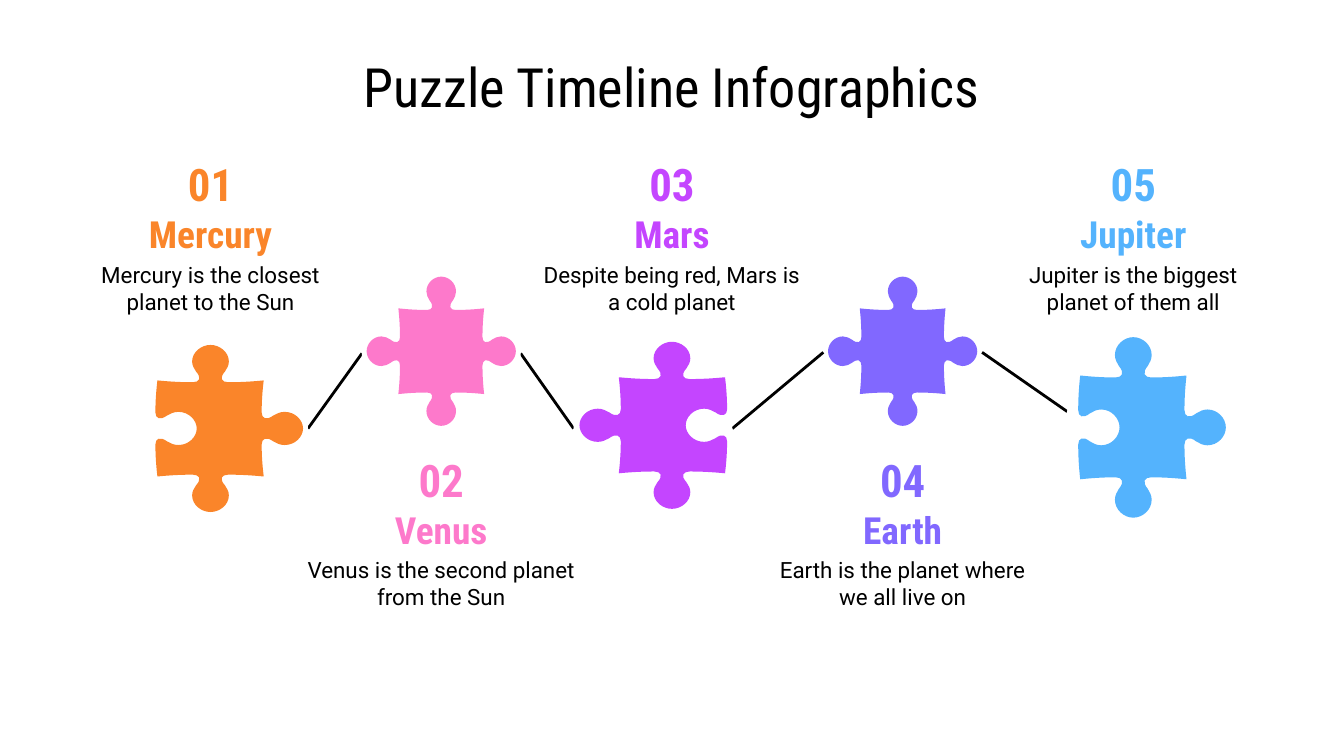
from lxml import etree
from pptx import Presentation
from pptx.dml.color import RGBColor as RGB
from pptx.enum.shapes import MSO_CONNECTOR as Link, MSO_SHAPE as Shape
from pptx.enum.text import MSO_ANCHOR as Anchor, PP_ALIGN as Align
from pptx.oxml.ns import qn
from pptx.util import Cm, Pt

COLORS = {
    "ink": "000000", "paper": "FFFFFF", "orange": "FA852A", "pink": "FD79CB",
    "purple": "C445FF", "violet": "8168FF", "blue": "54B3FD",
}
HEAD, BODY = "Roboto Condensed", "Roboto"

# Text columns, cm
FIRST, PITCH = 3.98, 4.36
HIGH, LOW = 3.0, 8.59

# Half of a puzzle side as Bezier points, from corner to knob tip: along, outward
HALF = [
    (-.81, 0), (-.79, 0), (-.57, -.03), (-.27, -.03),
    (-.17, -.03), (-.13, .04), (-.22, .15),
    (-.25, .2), (-.28, .25), (-.28, .32),
    (-.28, .48), (-.14, .6), (0, .6),
]
SIDE = HALF + [(-u, v) for u, v in HALF[-2::-1]]
EDGE = .81

# Knob direction of the top, right, bottom and left side: 1 out, -1 in
FULL, LEFT_IN, RIGHT_IN = (1, 1, 1, 1), (1, 1, 1, -1), (1, -1, 1, 1)

# name, text, color, text top, piece (y, x scale, y scale, knobs),
# halo (x offset from column, y, height)
PLANETS = [
    ("Mercury", "Mercury is the closest planet to the Sun", "orange", HIGH,
     (8.1, 1.24, 1.12, LEFT_IN), (.34, 8.1, 3.35)),
    ("Venus", "Venus is the second planet from the Sun", "pink", LOW,
     (6.64, 1, 1, FULL), (0, 6.68, 2.92)),
    ("Mars", "Despite being red, Mars is a cold planet", "purple", HIGH,
     (8.04, 1.24, 1.12, RIGHT_IN), (-.36, 8.1, 3.35)),
    ("Earth", "Earth is the planet where we all live on", "violet", LOW,
     (6.64, 1, 1, FULL), (0, 6.66, 0)),
    ("Jupiter", "Jupiter is the biggest planet of them all", "blue", HIGH,
     (8.08, 1.24, 1.21, LEFT_IN), (.25, 7.78, 3)),
]
HALO = 3.0


def outline(knobs):
    """Return the Bezier points of a piece around the origin, clockwise from top left."""
    path = [(-EDGE, -EDGE)]
    for turn, knob in enumerate(knobs):
        side = [(u, -EDGE - knob * v) for u, v in SIDE]
        for _ in range(turn):
            side = [(-y, x) for x, y in side]
        path += side[1:]
    return path


def curve(shape):
    """Turn each three line segments of a freeform into one Bezier curve."""
    path = next(shape._element.iter(qn("a:path")))
    lines = path.findall(qn("a:lnTo"))
    for i in range(0, len(lines), 3):
        arc = path.makeelement(qn("a:cubicBezTo"))
        lines[i].addprevious(arc)
        for line in lines[i:i + 3]:
            arc.append(line[0])
            path.remove(line)


class Deck:
    """Holds the style and the current slide."""

    def __init__(self):
        self.show = Presentation()
        self.show.slide_width, self.show.slide_height = Cm(25.4), Cm(14.29)
        self.slide = self.show.slides.add_slide(self.show.slide_layouts[6])
        self.shapes = self.slide.shapes

    def tint(self, name):
        return RGB.from_string(COLORS[name])

    def text(self, words, mid, top, wide, high, size, font=HEAD, color="ink", bold=False):
        box = self.shapes.add_textbox(Cm(mid - wide / 2), Cm(top), Cm(wide), Cm(high))
        frame = box.text_frame
        frame.word_wrap = True
        frame.vertical_anchor = Anchor.MIDDLE
        frame.margin_left = frame.margin_right = Cm(.25)
        frame.margin_top = frame.margin_bottom = Cm(.25)
        frame.text = words
        para = frame.paragraphs[0]
        para.alignment = Align.CENTER
        face = para.runs[0].font
        face.name, face.size, face.bold = font, Pt(size), bold
        face.color.rgb = self.tint(color)

    def line(self, x1, y1, x2, y2):
        link = self.shapes.add_connector(Link.STRAIGHT, Cm(x1), Cm(y1), Cm(x2), Cm(y2))
        link.line.color.rgb = self.tint("ink")
        link.line.width = Pt(1.5)
        etree.SubElement(link._element.spPr, qn("a:effectLst"))

    def paint(self, shape, color):
        shape.shadow.inherit = False
        shape.fill.solid()
        shape.fill.fore_color.rgb = self.tint(color)
        shape.line.fill.background()

    def halo(self, x, y, high):
        oval = self.shapes.add_shape(Shape.OVAL, Cm(x - HALO / 2), Cm(y - high / 2),
                                     Cm(HALO), Cm(high))
        self.paint(oval, "paper")

    def piece(self, x, y, wide, high, knobs, color):
        spots = [(Cm(x + wide * u), Cm(y + high * v)) for u, v in outline(knobs)]
        pen = self.shapes.build_freeform(*spots[0])
        pen.add_line_segments(spots[1:], close=True)
        shape = pen.convert_to_shape()
        # The closing line back to the start is not part of any curve
        curve(shape)
        self.paint(shape, color)


def main():
    deck = Deck()
    deck.text("Puzzle Timeline Infographics", 12.7, 1.27, 23.12, .69, 29)

    mids = [FIRST + PITCH * i for i in range(len(PLANETS))]
    hubs = [(mid + row[5][0], row[5][1]) for mid, row in zip(mids, PLANETS)]
    for (x1, y1), (x2, y2) in zip(hubs, hubs[1:]):
        deck.line(x1 + HALO / 2, y1, x2 - HALO / 2, y2)

    for i, (name, words, color, top, form, halo) in enumerate(PLANETS):
        mid = mids[i]
        deck.text(f"{i + 1:02}", mid, top, 3.05, .94, 24, color=color, bold=True)
        deck.text(name, mid, top + .95, 3.05, .94, 20, color=color, bold=True)
        deck.text(words, mid, top + 1.9, 5.66, 1.08, 12, BODY)
        if halo[2]:
            deck.halo(*hubs[i], halo[2])
        deck.piece(mid, *form, color)
    deck.show.save("out.pptx")


if __name__ == "__main__":
    main()
